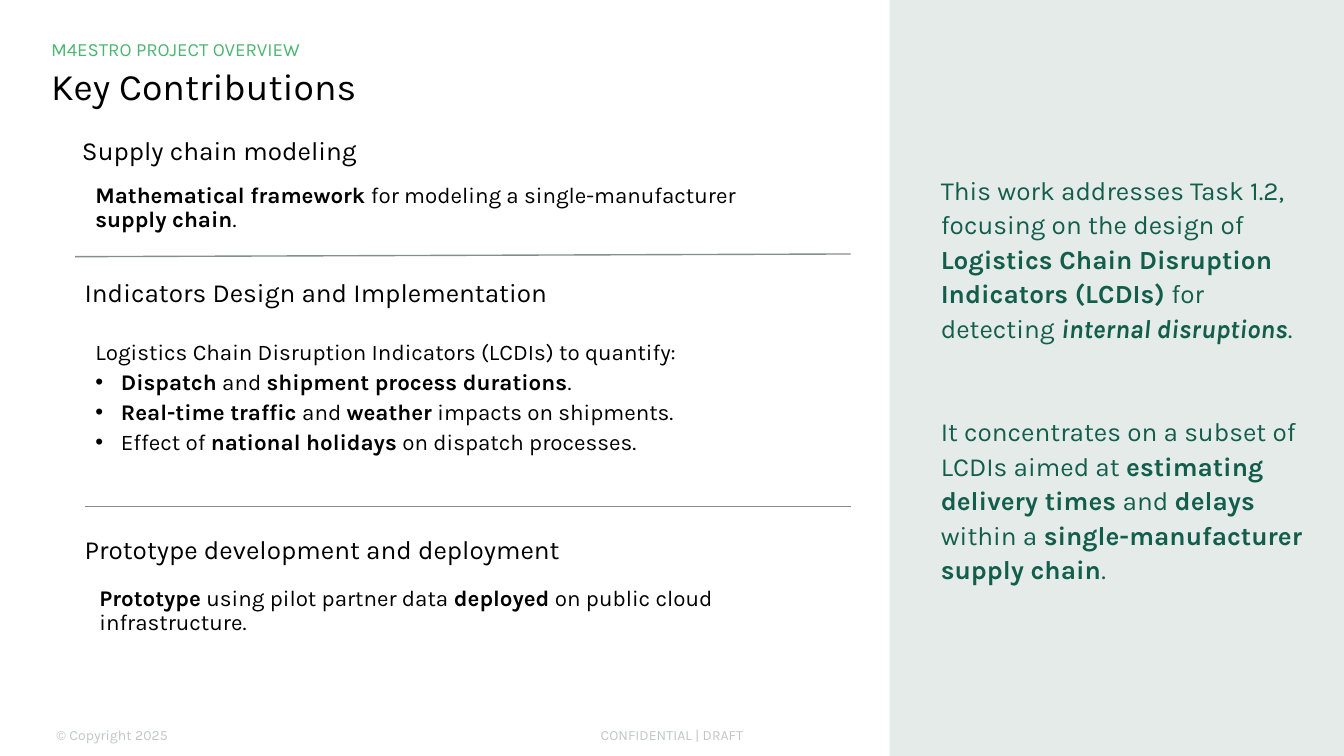
from lxml.etree import SubElement
from pptx import Presentation
from pptx.dml.color import RGBColor
from pptx.enum.shapes import MSO_CONNECTOR, MSO_SHAPE
from pptx.enum.text import MSO_ANCHOR, MSO_AUTO_SIZE, PP_ALIGN
from pptx.oxml.ns import qn
from pptx.util import Inches, Pt

BLACK, GREY, GREEN, DARK_GREEN, PALE = "000000", "838E8D", "4CB571", "125E4B", "E5EBE9"
FONT = "Karla"
SLIDE_WIDTH = 10
SLIDE_HEIGHT = SLIDE_WIDTH * 9 / 16
PANEL_LEFT = 6.62

TITLE = [[("Key Contributions", "")]]
EYEBROW = [[("M4ESTRO PROJECT OVERVIEW", "")]]
FOOTERS = [
    ("CONFIDENTIAL | DRAFT", (3.31, 5.36, 3.38, 0.21), PP_ALIGN.CENTER),
    ("© Copyright 2025", (0.38, 5.36, 2.97, 0.21), PP_ALIGN.LEFT),
]
SECTIONS = [
    {
        "heading": "Supply chain modeling",
        "heading_box": (0.61, 0.96, 3.72, 0.34),
        "body_box": (0.63, 1.33, 5.37, 0.56),
        "body": [[("Mathematical framework", "b"), (" for modeling a single-manufacturer ", ""),
                  ("supply chain", "b"), (".", "")]],
    },
    {
        "heading": "Indicators Design and Implementation",
        "heading_box": (0.63, 2.02, 3.72, 0.36),
        "body_box": (0.63, 2.5, 5.31, 1.05),
        "body": [
            [("Logistics Chain Disruption Indicators (LCDIs) to quantify:", "")],
            [("Dispatch", "b"), (" and ", ""), ("shipment process durations", "b"), (".", "")],
            [("Real-time traffic", "b"), (" and ", ""), ("weather", "b"),
             (" impacts on shipments.", "")],
            [("Effect of ", ""), ("national holidays", "b"), (" on dispatch processes.", "")],
        ],
    },
    {
        "heading": "Prototype development and deployment",
        "heading_box": (0.63, 3.93, 3.72, 0.4),
        "body_box": (0.66, 4.33, 5.29, 0.74),
        "body": [[("Prototype", "b"), (" using pilot partner data ", ""), ("deployed", "b"),
                  (" on public cloud infrastructure.", "")]],
    },
]
DIVIDERS = [(0.56, 1.91, 6.33, 1.89), (0.63, 3.77, 6.33, 3.77)]
SUMMARY = [
    [("This work addresses Task 1.2, focusing on the design of ", ""),
     ("Logistics Chain Disruption Indicators (LCDIs)", "b"), (" for detecting ", ""),
     ("internal disruptions", "bi"), (".", "")],
    [("It concentrates on a subset of LCDIs aimed at ", ""), ("estimating delivery times", "b"),
     (" and ", ""), ("delays", "b"), (" within a ", ""),
     ("single-manufacturer supply chain", "b"), (".", "")],
]


def rgb(color):
    return RGBColor.from_string(color)


def add_bullet(paragraph):
    properties = paragraph._p.get_or_add_pPr()
    properties.set("marL", str(Inches(0.19)))
    properties.set("indent", str(-Inches(0.19)))
    SubElement(SubElement(properties, qn("a:buClr")), qn("a:srgbClr"), val=BLACK)
    SubElement(properties, qn("a:buFont"), typeface="Arial")
    SubElement(properties, qn("a:buChar"), char="•")


def write(shape, paragraphs, size, color, insets, anchor=MSO_ANCHOR.TOP, align=PP_ALIGN.LEFT,
          spacing=1.0, after=0, gap=0, bulleted=False, opacity=None):
    frame = shape.text_frame
    frame.word_wrap = True
    frame.auto_size = MSO_AUTO_SIZE.NONE
    frame.vertical_anchor = anchor
    frame.margin_left, frame.margin_top, frame.margin_right, frame.margin_bottom = map(Inches, insets)
    for index, runs in enumerate(paragraphs):
        paragraph = frame.paragraphs[0] if index == 0 else frame.add_paragraph()
        if bulleted and index:
            add_bullet(paragraph)
        paragraph.alignment = align
        paragraph.line_spacing = spacing
        paragraph.space_before = Pt(gap if index else 0)
        paragraph.space_after = Pt(after)
        for text, style in runs:
            run = paragraph.add_run()
            run.text = text
            run.font.name = FONT
            run.font.size = Pt(size)
            run.font.bold = "b" in style
            run.font.italic = "i" in style
            run.font.color.rgb = rgb(color)
            if opacity:
                tint = run._r.find(".//" + qn("a:srgbClr"))
                SubElement(tint, qn("a:alpha"), val=str(opacity * 1000))


def add_text(slide, box, *args, **kwargs):
    write(slide.shapes.add_textbox(*map(Inches, box)), *args, **kwargs)


def add_divider(slide, ends):
    divider = slide.shapes.add_connector(MSO_CONNECTOR.STRAIGHT, *map(Inches, ends))
    divider.line.color.rgb = rgb(GREY)
    divider.line.width = Pt(0.75)
    SubElement(divider._element.spPr, qn("a:effectLst"))


def add_summary(slide):
    box = (PANEL_LEFT, 0, SLIDE_WIDTH - PANEL_LEFT, SLIDE_HEIGHT)
    panel = slide.shapes.add_shape(MSO_SHAPE.RECTANGLE, *map(Inches, box))
    panel.shadow.inherit = False
    panel.fill.solid()
    panel.fill.fore_color.rgb = rgb(PALE)
    panel.line.fill.background()
    write(panel, SUMMARY, 14, DARK_GREEN, (0.38, 0.07, 0.28, 0.07), MSO_ANCHOR.MIDDLE,
          spacing=1.1, gap=37)


def main():
    presentation = Presentation()
    presentation.slide_width = Inches(SLIDE_WIDTH)
    presentation.slide_height = Inches(SLIDE_HEIGHT)
    slide = presentation.slides.add_slide(presentation.slide_layouts[5])

    title = slide.shapes.title
    title.left, title.top, title.width, title.height = map(Inches, (0.38, 0.45, 9.25, 0.41))
    write(title, TITLE, 20, BLACK, (0, 0.04, 0, 0.04), MSO_ANCHOR.MIDDLE, spacing=0.9)
    add_text(slide, (0.38, 0.28, 9.25, 0.17), EYEBROW, 10, GREEN, (0, 0, 0.07, 0),
             MSO_ANCHOR.MIDDLE)

    for text, box, align in FOOTERS:
        add_text(slide, box, [[(text, "")]], 7.5, GREY, (0.04,) * 4, MSO_ANCHOR.MIDDLE, align,
                 opacity=50)
    for section in SECTIONS:
        add_text(slide, section["heading_box"], [[(section["heading"], "")]], 14, BLACK,
                 (0, 0.04, 0.07, 0.04))
        add_text(slide, section["body_box"], section["body"], 12, BLACK, (0.08, 0.04, 0.07, 0),
                 spacing=0.9, after=3, bulleted=True)
    for ends in DIVIDERS:
        add_divider(slide, ends)
    add_summary(slide)
    presentation.save("out.pptx")


if __name__ == "__main__":
    main()
